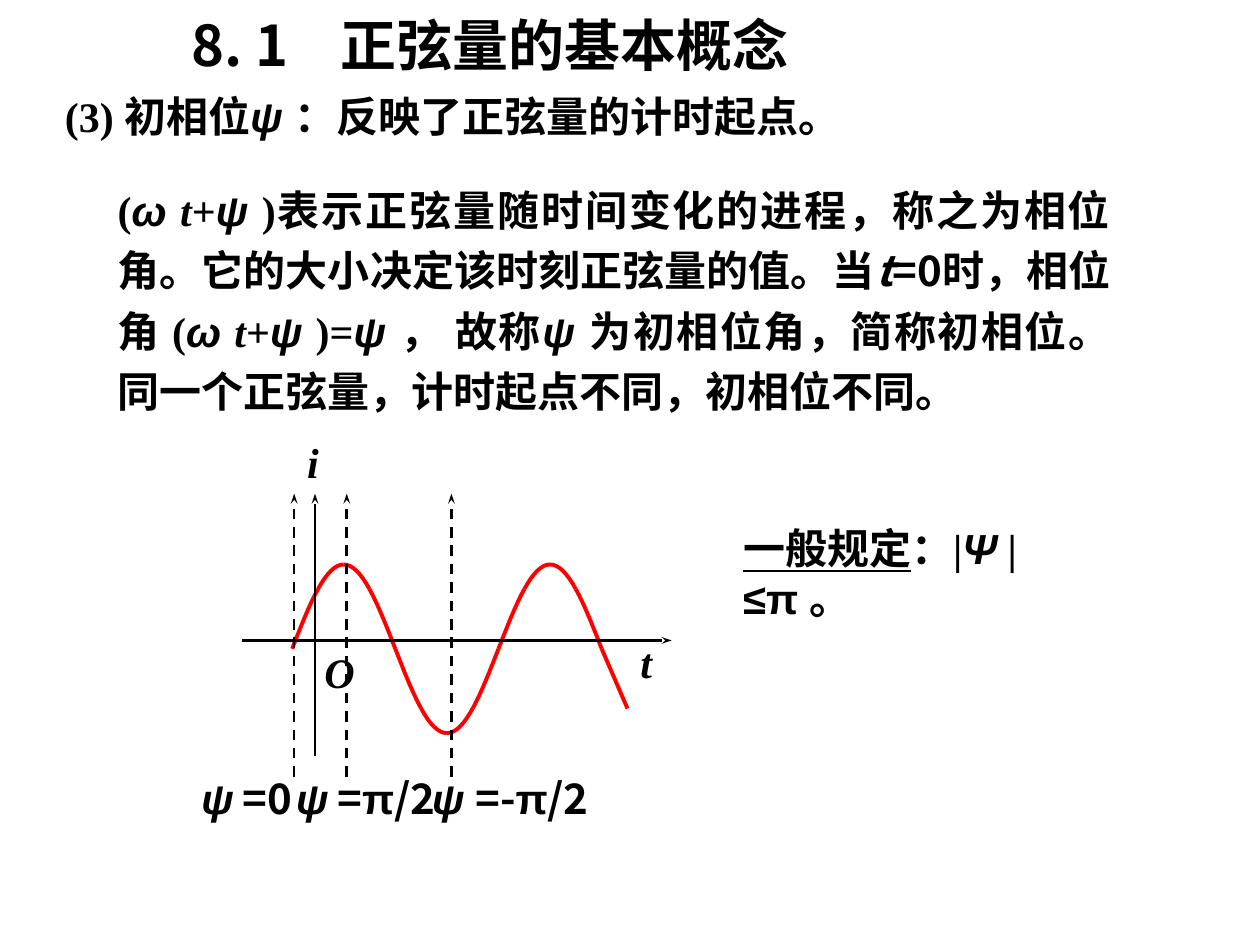
import math

from lxml import etree
from pptx import Presentation
from pptx import util as u
from pptx.dml.color import RGBColor
from pptx.enum import dml, shapes, text
from pptx.oxml.ns import qn

BLACK = RGBColor(0, 0, 0)
RED = RGBColor(255, 0, 0)
TIMES, ARIAL, NOTO = "Times New Roman", "Arial", "Noto Sans CJK SC"

OMEGA = ("ω ", ARIAL, True)
PSI = ("ψ ", ARIAL, True)
TIME = ("t", TIMES, True)
PLUS = ("+", TIMES, False)


def write(shape, runs, size=24, wrap=True):
    """Fill a shape with one paragraph of (text, font, italic) runs."""
    frame = shape.text_frame
    frame.word_wrap = wrap
    frame.auto_size = text.MSO_AUTO_SIZE.NONE
    frame.vertical_anchor = text.MSO_ANCHOR.TOP
    paragraph = frame.paragraphs[0]
    for content, font, italic in runs:
        run = paragraph.add_run()
        run.text = content
        run.font.name = font
        run.font.size = u.Pt(size)
        run.font.bold = True
        run.font.italic = italic
        run.font.color.rgb = BLACK
        east_asian = etree.SubElement(run._r.get_or_add_rPr(), qn("a:ea"))
        east_asian.set("typeface", NOTO)
    return paragraph


def add_line(start, end, color=BLACK, width=1.5, dashed=False, arrow=True):
    connector = slide.shapes.add_connector(
        shapes.MSO_CONNECTOR.STRAIGHT, *map(u.Cm, start), *map(u.Cm, end))
    connector.line.color.rgb = color
    connector.line.width = u.Pt(width)
    if dashed:
        connector.line.dash_style = dml.MSO_LINE.DASH
    if arrow:
        etree.SubElement(connector.line._get_or_add_ln(), qn("a:tailEnd"),
                         type="stealth", w="sm", len="med")
    etree.SubElement(connector._element.spPr, qn("a:effectLst"))


presentation = Presentation()
presentation.slide_width = u.Cm(25.4)
presentation.slide_height = u.Cm(19.05)
slide = presentation.slides.add_slide(presentation.slide_layouts[5])

# Title, with a tab between number and heading
title = slide.shapes.title
title.left, title.top, title.width, title.height = map(u.Cm, (3.6, 0.08, 16.94, 1.63))
paragraph = write(title, [("8. 1\t正弦量的基本概念", NOTO, False)], size=32, wrap=False)
paragraph.alignment = text.PP_ALIGN.LEFT
tabs = etree.SubElement(paragraph._p.get_or_add_pPr(), qn("a:tabLst"))
etree.SubElement(tabs, qn("a:tab"), pos=str(u.Cm(3)), algn="l")

# Definition and explanation
definition = slide.shapes.add_textbox(u.Cm(1.06), u.Cm(1.7), u.Cm(23.7), u.Cm(1.27))
write(definition, [("(3) 初相位", TIMES, False), PSI,
                   ("：反映了正弦量的计时起点。", TIMES, False)])

explanation = slide.shapes.add_textbox(u.Cm(2.12), u.Cm(3.39), u.Cm(20.52), u.Cm(5.13))
paragraph = write(explanation, [
    ("(", TIMES, False), OMEGA, TIME, PLUS, PSI, (")", TIMES, False),
    ("表示正弦量随时间变化的进程，称之为相位角。它的大小决定该时刻正弦量的值。当", NOTO, False),
    ("t", NOTO, True), ("=0时，相位角 ", NOTO, False),
    ("(", TIMES, False), OMEGA, TIME, PLUS, PSI, (")=", TIMES, False), PSI,
    ("， 故称", TIMES, False), PSI,
    ("为初相位角，简称初相位。同一个正弦量，计时起点不同，初相位不同。", TIMES, False)])
paragraph.alignment = text.PP_ALIGN.JUSTIFY
paragraph.line_spacing = 1.2

# Sine wave: twelve curved pieces of an eighth period, then a straight end
start_x, middle_y, piece_width, amplitude, steps = 5.89, 13.08, 0.52, 1.7, 8
wave = [(start_x + piece_width * step / steps,
         middle_y - amplitude * math.sin(math.pi / 4 * step / steps))
        for step in range(13 * steps + 1)]
for first in range(0, 12 * steps, steps):
    points = [(u.Cm(x), u.Cm(y)) for x, y in wave[first:first + steps + 1]]
    builder = slide.shapes.build_freeform(*points[0])
    builder.add_line_segments(points[1:], close=False)
    piece = builder.convert_to_shape()
    piece.shadow.inherit = False
    piece.fill.background()
    piece.line.color.rgb = RED
    piece.line.width = u.Pt(2.25)
add_line(wave[-1 - steps], wave[-1], color=RED, width=2.25, arrow=False)

# Axes and the possible time origins
axis_top = 9.95
add_line((4.88, 12.91), (13.54, 12.91))
add_line((6.35, 15.24), (6.35, axis_top))
for origin_x in (5.93, 6.99, 9.1):
    add_line((origin_x, 15.66), (origin_x, axis_top), dashed=True)

# Labels: left, top, width, wrap, letter spacing of the first run, runs
PI = ("π", ARIAL, False)
HALF = ("/2", NOTO, False)
labels = [
    (12.66, 12.7, 0.74, False, 0, [TIME]),
    (5.94, 8.68, 0.74, False, 0, [("i", TIMES, True)]),
    (6.29, 12.9, 1.12, False, 0, [("O", TIMES, True)]),
    (3.81, 15.44, 2.74, True, -170, [PSI, ("=0", NOTO, False)]),
    (5.72, 15.44, 3.81, True, -170, [PSI, ("=", NOTO, False), PI, HALF]),
    (8.46, 15.44, 4.24, True, -50, [PSI, ("=-", NOTO, False), PI, HALF]),
]
for left, top, width, wrap, spacing, runs in labels:
    label = slide.shapes.add_textbox(u.Cm(left), u.Cm(top), u.Cm(width), u.Cm(1.27))
    paragraph = write(label, runs, wrap=wrap)
    if spacing:
        paragraph.runs[0]._r.get_or_add_rPr().set("spc", str(spacing))

# Convention; the wide right margin puts the limit on a second line
convention = slide.shapes.add_textbox(u.Cm(14.73), u.Cm(10.41), u.Cm(8.81), u.Cm(1.27))
convention.text_frame.margin_right = u.Cm(2.2)
paragraph = write(convention, [
    ("一般规定", TIMES, False), ("：|", TIMES, False), ("Ψ", ARIAL, True),
    (" |", TIMES, False), ("≤π ", ARIAL, False), ("。", TIMES, False)])
paragraph.runs[0].font.underline = True

presentation.save("out.pptx")
